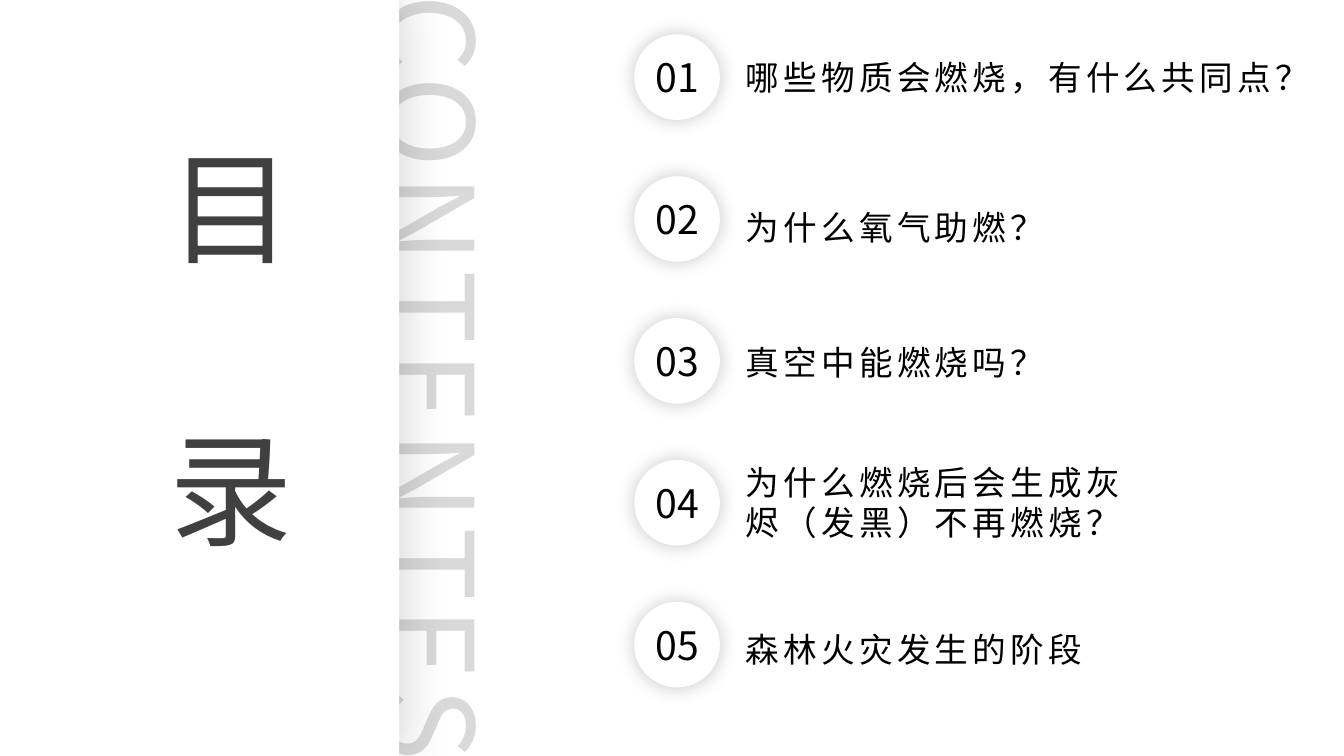
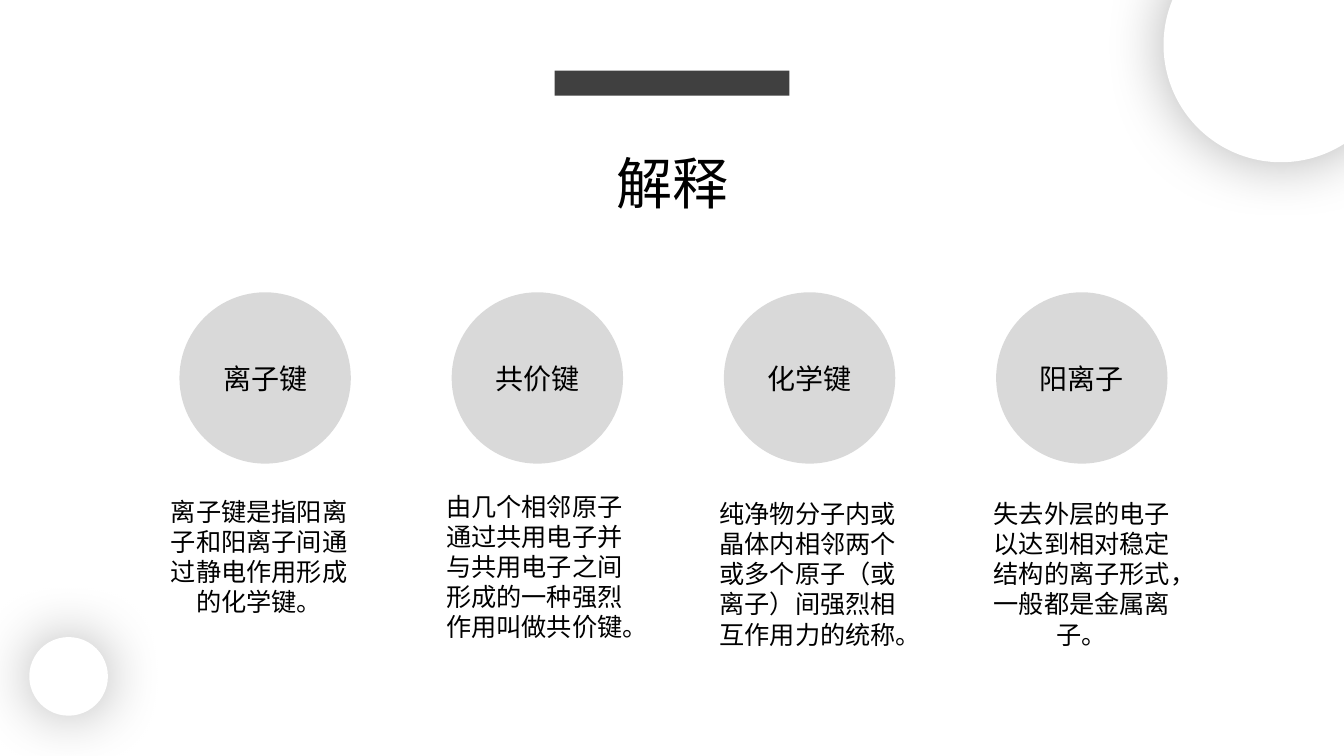
import pptx
import pptx.dml.color
import pptx.enum.shapes
import pptx.enum.text
import pptx.oxml
import pptx.oxml.ns
import pptx.util
from pptx.util import Inches

FONT = "Noto Sans CJK SC"
BLACK, DARK, GRAY, WHITE = "000000", "404040", "D9D9D9", "FFFFFF"
OVAL = pptx.enum.shapes.MSO_SHAPE.OVAL
RECTANGLE = pptx.enum.shapes.MSO_SHAPE.RECTANGLE
CENTER = pptx.enum.text.PP_ALIGN.CENTER
LEFT = pptx.enum.text.PP_ALIGN.LEFT
TOP = pptx.enum.text.MSO_ANCHOR.TOP
MIDDLE = pptx.enum.text.MSO_ANCHOR.MIDDLE


def rgb(hex_color):
    return pptx.dml.color.RGBColor.from_string(hex_color)


def set_all(target, values):
    for name, value in values.items():
        setattr(target, name, value)


class Deck:
    def __init__(self):
        self.show = pptx.Presentation()
        self.show.slide_width = Inches(13.33)
        self.show.slide_height = Inches(7.5)
        self.slide = None

    def new_slide(self):
        self.slide = self.show.slides.add_slide(self.show.slide_layouts[5])
        fill = self.slide.background.fill
        fill.solid()
        fill.fore_color.rgb = rgb(WHITE)

    def fill_text(self, shape, lines, size, color=BLACK, align=CENTER, anchor=TOP,
                  spacing=0, gap=0, inset=0.1):
        frame = shape.text_frame
        set_all(frame, {
            "text": lines,
            "word_wrap": True,
            "auto_size": pptx.enum.text.MSO_AUTO_SIZE.NONE,
            "vertical_anchor": anchor,
            "margin_left": Inches(inset),
            "margin_right": Inches(inset),
            "margin_top": Inches(inset / 2),
            "margin_bottom": Inches(inset / 2),
        })
        for index, paragraph in enumerate(frame.paragraphs):
            set_all(paragraph, {
                "alignment": align,
                "line_spacing": 1.0,
                "space_before": pptx.util.Pt(gap if index else 0),
            })
            for run in paragraph.runs:
                set_all(run.font, {"name": FONT, "size": pptx.util.Pt(size), "bold": False})
                run.font.color.rgb = rgb(color)
                properties = run.font._element
                properties.set("lang", "zh-CN")
                if spacing:
                    properties.set("spc", str(spacing * 100))
                latin = properties.find(pptx.oxml.ns.qn("a:latin"))
                latin.addnext(pptx.oxml.parse_xml(
                    f'<a:ea {pptx.oxml.ns.nsdecls("a")} typeface="{FONT}"/>'))

    def title(self, box, lines, size, **style):
        title = self.slide.shapes.title
        set_all(title, dict(zip(("left", "top", "width", "height"), map(Inches, box))))
        self.fill_text(title, lines, size, **style)
        self.slide.shapes._spTree.append(title._element)

    def text(self, box, words, size, rotation=0, **style):
        label = self.slide.shapes.add_textbox(*map(Inches, box))
        label.rotation = rotation
        self.fill_text(label, words, size, **style)

    def shape(self, kind, box, color, words="", size=20, shadow=None, **style):
        shape = self.slide.shapes.add_shape(kind, *map(Inches, box))
        shape.shadow.inherit = False
        shape.fill.solid()
        shape.fill.fore_color.rgb = rgb(color)
        shape.line.fill.background()
        if shadow:
            self.cast(shape, *shadow)
        if words:
            self.fill_text(shape, words, size, anchor=MIDDLE, **style)

    def cast(self, shape, opacity, blur, distance):
        effects = shape._element.spPr.find(pptx.oxml.ns.qn("a:effectLst"))
        effects.append(pptx.oxml.parse_xml(
            f'<a:outerShdw {pptx.oxml.ns.nsdecls("a")} blurRad="{pptx.util.Pt(blur)}" '
            f'dist="{pptx.util.Pt(distance)}" dir="0" algn="ctr" rotWithShape="0">'
            f'<a:srgbClr val="{BLACK}"><a:alpha val="{opacity * 1000}"/></a:srgbClr>'
            '</a:outerShdw>'))


deck = Deck()

deck.new_slide()
deck.text((-0.88, 2.96, 10.34, 1.58), "CONTENTES", 88, rotation=90, color=GRAY, spacing=5)
deck.shape(RECTANGLE, (0, 0, 3.96, 7.5), WHITE, shadow=(16, 36, 3))
deck.title((1.48, 1.25, 1.62, 4.39), "目\n录", 88, color=DARK, gap=96)
questions = [
    ("哪些物质会燃烧，有什么共同点？", 0.52, 5.49),
    ("为什么氧气助燃？", 2, 4.21),
    ("真空中能燃烧吗？", 3.34, 4.21),
    ("为什么燃烧后会生成灰烬（发黑）不再燃烧？", 4.53, 4.21),
    ("森林火灾发生的阶段", 6.19, 4.21),
]
step = (5.97 - 0.34) / (len(questions) - 1)
for index, (question, top, width) in enumerate(questions):
    deck.shape(OVAL, (6.29, 0.34 + index * step, 0.85, 0.85), WHITE,
               f"{index + 1:02}", 28, shadow=(22, 14, 0), inset=0)
    deck.text((7.3, top, width, 0.5), question, 24, align=LEFT, spacing=3)

deck.new_slide()
deck.title((3.47, 1.42, 6.39, 0.77), "解释", 40)
deck.shape(RECTANGLE, (5.5, 0.7, 2.33, 0.25), DARK)
terms = [
    ("离子键", "离子键是指阳离子和阳离子间通过静电作用形成的化学键。", 1.55, 4.87),
    ("共价键", "由几个相邻原子通过共用电子并与共用电子之间形成的一种强烈作用叫做共价键。", 4.28, 4.82),
    ("化学键", "纯净物分子内或晶体内相邻两个或多个原子（或离子）间强烈相互作用力的统称。", 6.99, 4.89),
    ("阳离子", "失去外层的电子以达到相对稳定结构的离子形式，一般都是金属离子。", 9.71, 4.89),
]
for index, (term, meaning, left, top) in enumerate(terms):
    deck.shape(OVAL, (1.78 + index * 2.7, 2.9, 1.7, 1.7), GRAY, term)
    deck.text((left, top, 2.04, 1.62), meaning, 18)
for box in ((0.29, 6.32, 0.78, 0.78), (11.54, -0.72, 2.33, 2.33)):
    deck.shape(OVAL, box, WHITE, shadow=(30, 43, 0))

deck.show.save("out.pptx")
